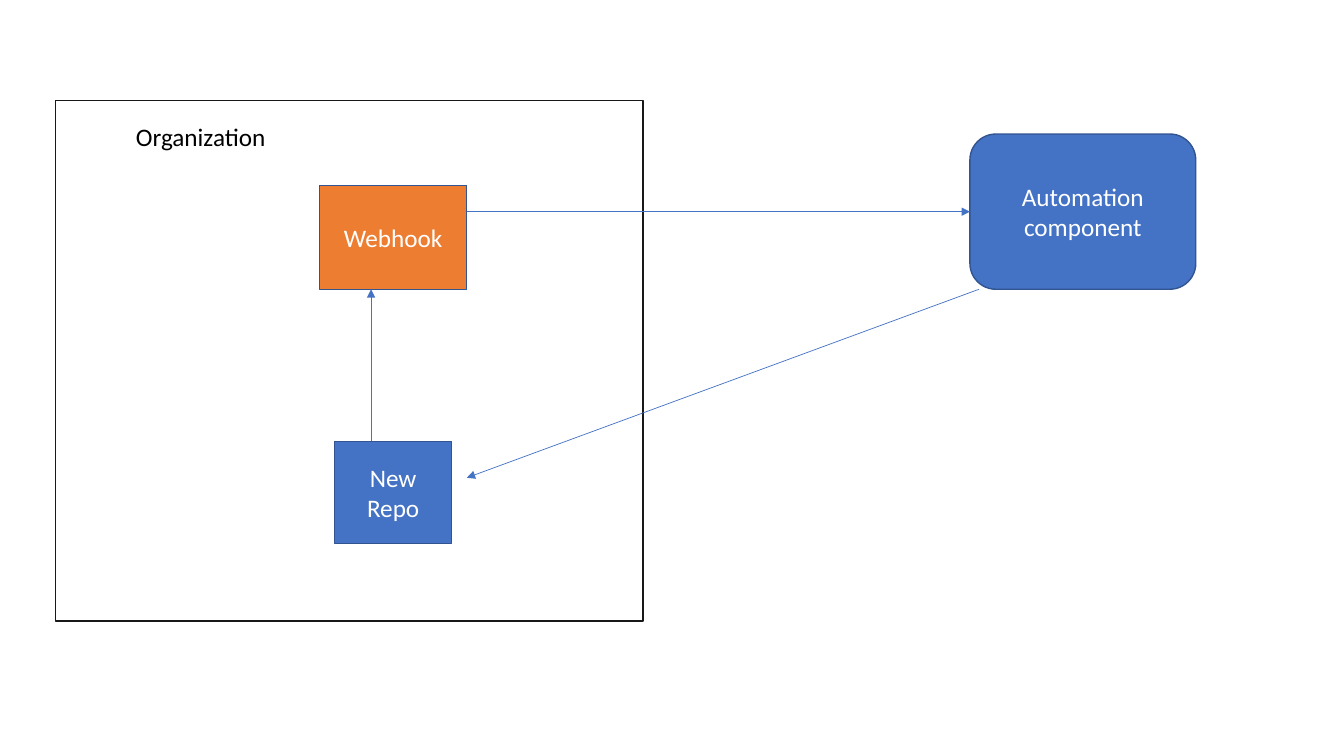
from lxml import etree
from pptx import Presentation
from pptx.dml.color import RGBColor
from pptx.enum import shapes, text
from pptx.oxml import ns
from pptx.util import Inches, Pt

BLUE = RGBColor(0x44, 0x72, 0xC4)
BLUE_EDGE = RGBColor(0x32, 0x54, 0x91)
ORANGE = RGBColor(0xED, 0x7D, 0x31)
FRAME_EDGE = RGBColor(0x18, 0x18, 0x18)
BLACK = RGBColor(0, 0, 0)
WHITE = RGBColor(0xFF, 0xFF, 0xFF)
RECTANGLE = shapes.MSO_SHAPE.RECTANGLE
ROUNDED = shapes.MSO_SHAPE.ROUNDED_RECTANGLE


def write_label(shape, words, color):
    """Write one line of label text in a shape."""
    para = shape.text_frame.paragraphs[0]
    para.text = words
    para.font.name = "Calibri"
    para.font.size = Pt(18)
    para.font.color.rgb = color
    return para


def add_box(page, box, edge, fill=None, words=None, preset=RECTANGLE):
    """Add an outlined shape, filled and labelled on request."""
    shape = page.shapes.add_shape(preset, *map(Inches, box))
    shape.shadow.inherit = False
    shape.line.color.rgb = edge
    shape.line.width = Pt(1)
    if fill is None:
        shape.fill.background()
    else:
        shape.fill.solid()
        shape.fill.fore_color.rgb = fill
    if words:
        shape.text_frame.word_wrap = True
        shape.text_frame.vertical_anchor = text.MSO_ANCHOR.MIDDLE
        write_label(shape, words, WHITE).alignment = text.PP_ALIGN.CENTER
    return shape


def add_arrow(page, start, end):
    """Add a thin straight arrow between two points."""
    arrow = page.shapes.add_connector(
        shapes.MSO_CONNECTOR.STRAIGHT, *map(Inches, start + end))
    arrow.line.color.rgb = BLUE
    arrow.line.width = Pt(0.5)
    etree.SubElement(arrow.line._get_or_add_ln(), ns.qn("a:tailEnd"), type="triangle")
    etree.SubElement(arrow._element.spPr, ns.qn("a:effectLst"))
    return arrow


def add_organization(page, box):
    """Draw the organization frame with its repository and webhook."""
    left, top, width, height = box
    add_box(page, box, FRAME_EDGE)
    title = page.shapes.add_textbox(
        Inches(left + 0.7), Inches(top + 0.15), Inches(1.5), Inches(0.4))
    title.text_frame.word_wrap = False
    title.text_frame.auto_size = text.MSO_AUTO_SIZE.SHAPE_TO_FIT_TEXT
    write_label(title, "Organization", BLACK)
    add_box(page, (left + 2.77, top + 3.38, 1.16, 1.01), BLUE_EDGE, BLUE, "New Repo")
    add_box(page, (left + 2.62, top + 0.84, 1.46, 1.03), BLUE_EDGE, ORANGE, "Webhook")
    add_arrow(page, (left + 3.13, top + 3.38), (left + 3.13, top + 1.87))


def add_automation(page, box, webhook_right):
    """Draw the automation component and its arrows to the organization."""
    left, top, width, height = box
    middle, bottom = top + height / 2, top + height
    component = add_box(page, box, BLUE_EDGE, BLUE, "Automation component", ROUNDED)
    call = add_arrow(page, (webhook_right, middle), (left, middle))
    call.end_connect(component, 1)
    add_arrow(page, (left + 0.09, bottom), (webhook_right, bottom + 1.87))


def main():
    """Build and save the deck."""
    deck = Presentation()
    deck.slide_width, deck.slide_height = Inches(13.33), Inches(7.5)
    page = deck.slides.add_slide(deck.slide_layouts[6])
    add_organization(page, (0.55, 1, 5.83, 5.16))
    add_automation(page, (9.62, 1.33, 2.24, 1.54), webhook_right=4.63)
    deck.save("out.pptx")


if __name__ == "__main__":
    main()
